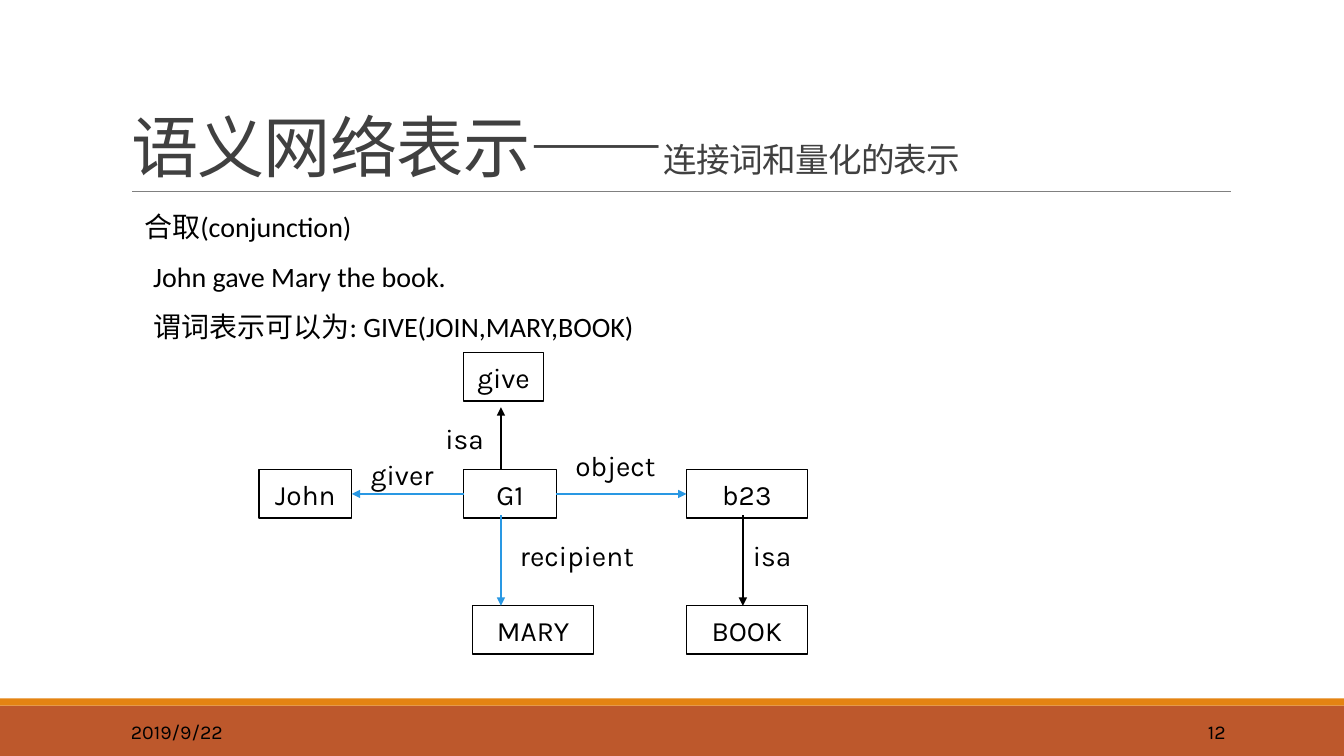
from dataclasses import dataclass

from lxml import etree
from pptx import Presentation
from pptx import util as u
from pptx.dml.color import RGBColor
from pptx.enum import shapes, text
from pptx.oxml.ns import qn


@dataclass(frozen=True)
class Theme:
    ink: str = "000000"
    heading: str = "404040"
    rule: str = "808080"
    link: str = "2998E3"
    band: str = "BD582C"
    stripe: str = "E48312"
    title_font: str = "Times New Roman"
    body_font: str = "Calibri"
    label_font: str = "Karla"
    title_size: int = 48
    subtitle_size: int = 24
    body_size: int = 20
    footer_size: int = 14


THEME = Theme()
UNIT = u.Inches(0.1)
COLUMNS, ROWS = 133.33, 75


def grid(*cells):
    return [round(cell * UNIT) for cell in cells]


def move(shape, box):
    shape.left, shape.top, shape.width, shape.height = grid(*box)


def add_span(para, words, font, size, color):
    span = para.add_run()
    span.text = words
    span.font.name = font
    span.font.size = u.Pt(size)
    span.font.color.rgb = RGBColor.from_string(color)
    return span


def add_label(page, box, words, size=THEME.body_size,
              align=text.PP_ALIGN.LEFT, anchor=text.MSO_ANCHOR.TOP):
    label = page.shapes.add_textbox(*grid(*box))
    frame = label.text_frame
    frame.word_wrap = True
    frame.vertical_anchor = anchor
    para = frame.paragraphs[0]
    para.alignment = align
    add_span(para, words, THEME.label_font, size, THEME.ink)


def add_line(page, start, end, color, weight, arrow=False):
    line = page.shapes.add_connector(
        shapes.MSO_CONNECTOR.STRAIGHT, *grid(*start, *end))
    line.line.color.rgb = RGBColor.from_string(color)
    line.line.width = u.Pt(weight)
    if arrow:
        etree.SubElement(line.line._get_or_add_ln(), qn("a:tailEnd"), type="triangle")
    etree.SubElement(line._element.spPr, qn("a:effectLst"))
    return line


def add_footer(page, box):
    left, top, width, height = box
    bars = [(top + 0.7, height - 0.7, THEME.band), (top, 0.7, THEME.stripe)]
    for bar_top, bar_height, color in bars:
        bar = page.shapes.add_shape(
            shapes.MSO_SHAPE.RECTANGLE, *grid(left, bar_top, width, bar_height))
        bar.shadow.inherit = False
        bar.fill.solid()
        bar.fill.fore_color.rgb = RGBColor.from_string(color)
        bar.line.fill.background()
    entries = [(12, 27, "2019/9/22", text.PP_ALIGN.LEFT),
               (108.3, 14.3, "12", text.PP_ALIGN.RIGHT)]
    for column, span_width, words, align in entries:
        add_label(page, (left + column, top + 1.3, span_width, 4), words,
                  THEME.footer_size, align, text.MSO_ANCHOR.MIDDLE)


def add_title(page, box):
    left, top, width, height = box
    title = page.shapes.title
    move(title, box)
    frame = title.text_frame
    frame.word_wrap = True
    frame.auto_size = text.MSO_AUTO_SIZE.NONE
    frame.vertical_anchor = text.MSO_ANCHOR.BOTTOM
    para = frame.paragraphs[0]
    para.alignment = text.PP_ALIGN.LEFT
    para.line_spacing = 0.85
    parts = [("语义网络表示——", THEME.title_font, THEME.title_size),
             ("连接词和量化的表示", THEME.body_font, THEME.subtitle_size)]
    for words, font, size in parts:
        span = add_span(para, words, font, size, THEME.heading)
        span.font._element.set("spc", "-50")
    bottom = top + height
    add_line(page, (left + 1.1, bottom), (left + width + 0.1, bottom), THEME.rule, 0.5)


def add_body(page, box):
    body = page.placeholders[1]
    move(body, box)
    frame = body.text_frame
    frame.word_wrap = True
    frame.auto_size = text.MSO_AUTO_SIZE.NONE
    frame.vertical_anchor = text.MSO_ANCHOR.TOP
    frame.margin_left = frame.margin_right = 0
    lines = [("合取(conjunction)", 1),
             ("John gave Mary the book.", 1.9),
             ("谓词表示可以为: GIVE(JOIN,MARY,BOOK)", 1.9)]
    for index, (words, indent) in enumerate(lines):
        para = frame.add_paragraph() if index else frame.paragraphs[0]
        properties = para._p.get_or_add_pPr()
        properties.set("marL", str(grid(indent)[0]))
        properties.set("indent", "0")
        etree.SubElement(properties, qn("a:buNone"))
        para.alignment = text.PP_ALIGN.LEFT
        para.line_spacing = 0.9
        para.space_before = u.Pt(12 if index else 0)
        para.space_after = u.Pt(2)
        add_span(para, words, THEME.body_font, THEME.body_size, THEME.ink)


def add_node(page, box, words):
    node = page.shapes.add_shape(shapes.MSO_SHAPE.RECTANGLE, *grid(*box))
    node.shadow.inherit = False
    node.fill.background()
    node.line.color.rgb = RGBColor.from_string(THEME.ink)
    node.line.width = u.Pt(1)
    frame = node.text_frame
    frame.word_wrap = False
    frame.vertical_anchor = text.MSO_ANCHOR.MIDDLE
    para = frame.paragraphs[0]
    para.alignment = text.PP_ALIGN.CENTER
    add_span(para, words, THEME.label_font, THEME.body_size, THEME.ink)
    return node


def add_network(page, box):
    left, top, width, height = box
    node_height, label_height = 4.8, 4.7
    middle, bottom = 11.6, height - node_height
    center, right = 20.3, width - 12
    layout = [("John", 0, middle, 9.2), ("b23", right, middle, 12),
              ("give", center, 0, 7.9), ("MARY", center + 0.9, bottom, 12),
              ("G1", center, middle, 9.2), ("BOOK", right, bottom, 12)]
    nodes = {words: add_node(page, (left + x, top + y, w, node_height), words)
             for words, x, y, w in layout}

    labels = [("object", 30.4, 9, 13.8), ("isa", 17.5, 6.3, 6.5),
              ("giver", 10.1, 9.9, 12), ("recipient", 24.9, 17.9, 13.9),
              ("isa", 48, 17.9, 6.5)]
    for words, x, y, w in labels:
        add_label(page, (left + x, top + y, w, label_height), words)

    for target, exit_side, entry_side in [("b23", 3, 1), ("John", 1, 3)]:
        arrow = add_line(page, (left, top), (left, top), THEME.link, 1, True)
        arrow.begin_connect(nodes["G1"], exit_side)
        arrow.end_connect(nodes[target], entry_side)

    below = middle + 4.5
    uprights = [(24, middle, 5.4, THEME.ink), (24, below, bottom, THEME.link),
                (48, below, bottom, THEME.ink)]
    for x, start, end, color in uprights:
        add_line(page, (left + x, top + start), (left + x, top + end), color, 1, True)


def main():
    deck = Presentation()
    deck.slide_width, deck.slide_height = grid(COLUMNS, ROWS)
    page = deck.slides.add_slide(deck.slide_layouts[1])
    add_footer(page, (0, 69.3, COLUMNS, 5.7))
    add_title(page, (12, 3.1, 110, 15.9))
    add_body(page, (13.3, 20.7, 83.7, 16.3))
    add_network(page, (25.7, 35, 54.4, 29.9))
    deck.save("out.pptx")


if __name__ == "__main__":
    main()
